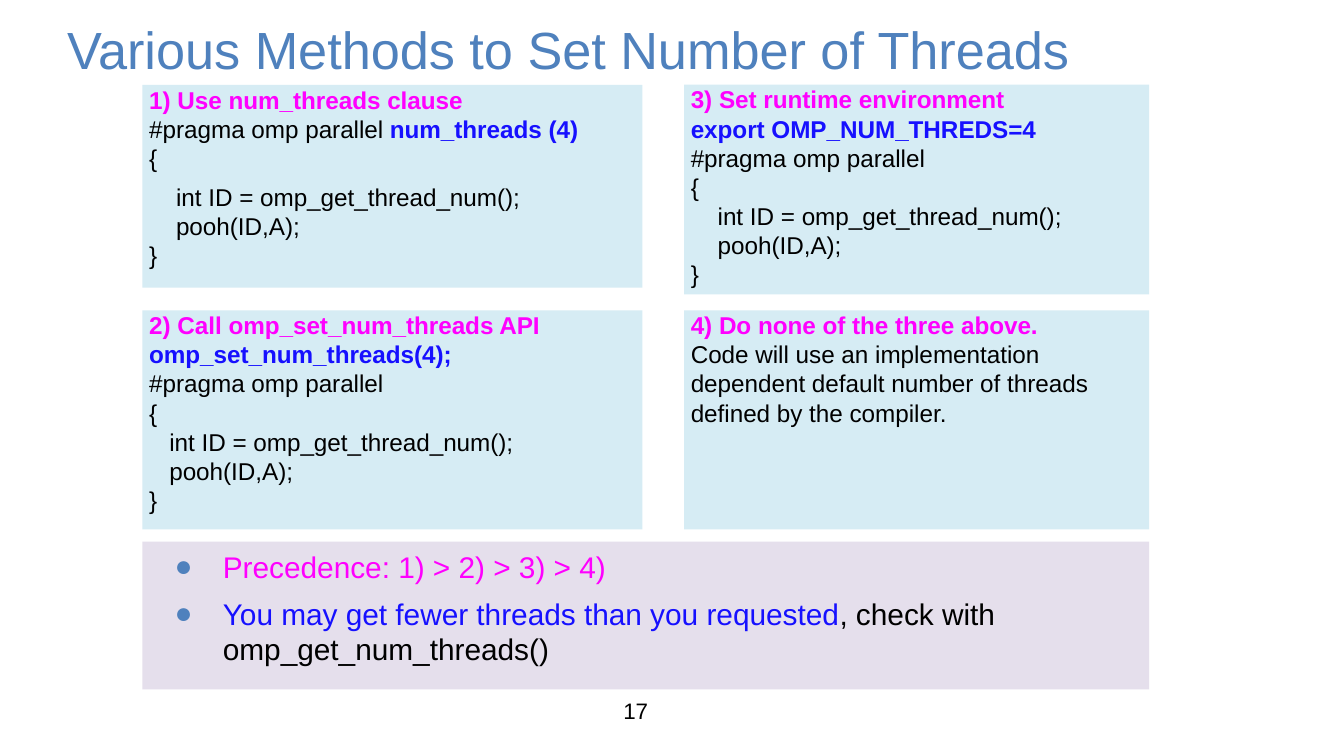
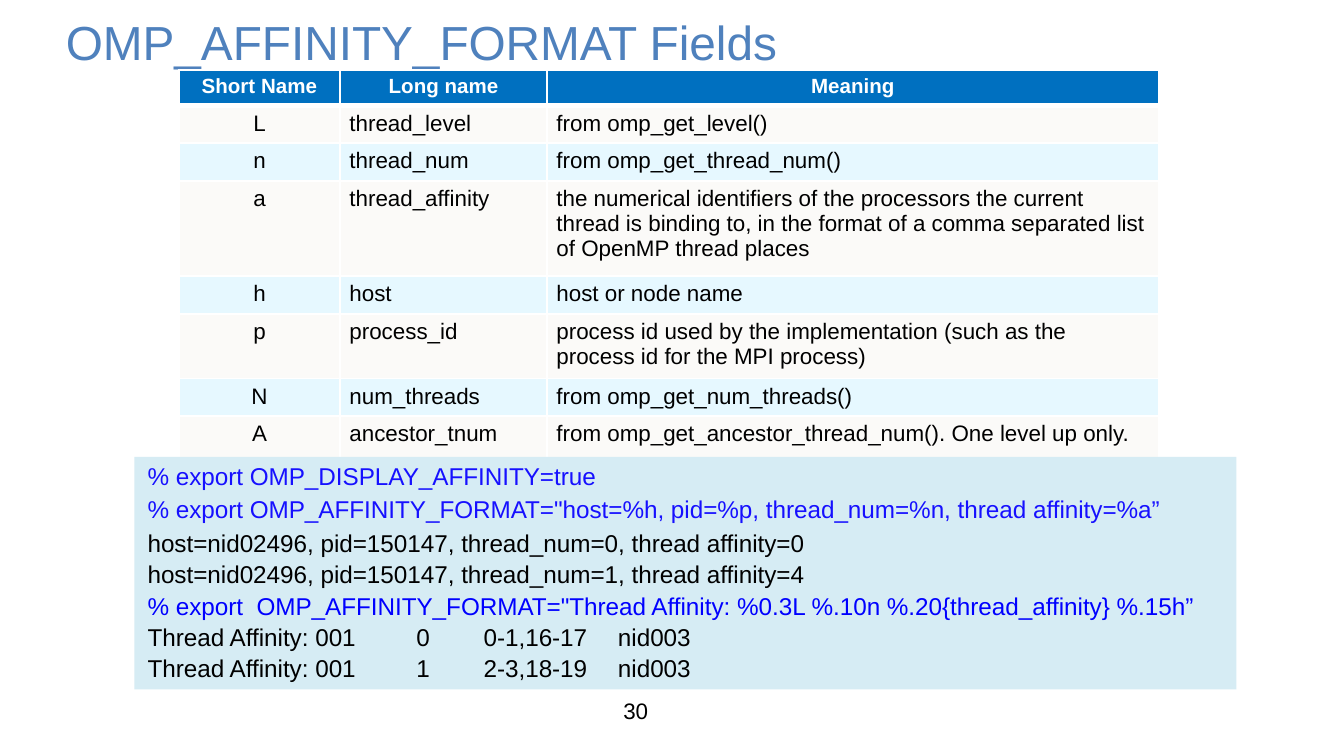
"""Build two OpenMP slides: setting thread counts and affinity format fields."""
from dataclasses import dataclass

from lxml.etree import SubElement
from pptx import Presentation
from pptx.dml.color import RGBColor
from pptx.enum.shapes import MSO_SHAPE
from pptx.enum.text import MSO_ANCHOR, PP_ALIGN
from pptx.oxml.ns import qn
from pptx.util import Pt


@dataclass(frozen=True)
class Theme:
    font: str = "Arial"
    title: str = "4F81BD"
    magenta: str = "FF00FF"
    blue: str = "1610FF"
    pure_blue: str = "0000FF"
    black: str = "000000"
    white: str = "FFFFFF"
    panel: str = "D6ECF4"
    note: str = "E5DFEC"
    header: str = "0070C0"
    bands: tuple = ("FBFAF8", "E6F8FF")
    title_size: float = 28
    small_title_size: float = 25.6
    note_size: float = 16
    code_size: float = 13
    cell_size: float = 12
    header_size: float = 11


T = Theme()
LEFT, RIGHT = (76.3, 267.8), (366.5, 249.1)
TOP, LOWER = 45.4, 166.3
CODE_INSETS = (3.6, 0, 0, 0)
WIDE_INSETS = (7.2, 3.6, 7.2, 3.6)
HEADING = {"color": T.magenta, "bold": True}
KEY = {"color": T.blue, "bold": True}
COMMAND = {"color": T.blue}
PLAIN = {}


def line(text, style=PLAIN, **fmt):
    return [(text, style)], fmt


def parallel_body(indent, **first):
    return [
        line("{"),
        line("int ID = omp_get_thread_num();", indent=indent, **first),
        line("pooh(ID,A);", indent=indent),
        line("}"),
    ]


METHODS = [
    (LEFT, TOP, 108.7, [
        line("1) Use num_threads clause", HEADING),
        ([("#pragma omp parallel ", PLAIN), ("num_threads (4)", KEY)], {}),
        *parallel_body(14.4, space_before=5.2),
    ]),
    (LEFT, LOWER, 117.4, [
        line("2) Call omp_set_num_threads API", HEADING),
        line("omp_set_num_threads(4);", KEY),
        line("#pragma omp parallel"),
        *parallel_body(10.8),
    ]),
    (RIGHT, LOWER, 117.4, [
        line("4) Do none of the three above.", HEADING),
        line("Code will use an implementation dependent default number of "
             "threads defined by the compiler."),
    ]),
    (RIGHT, TOP, 112.3, [
        line("3) Set runtime environment", HEADING),
        line("export OMP_NUM_THREDS=4", KEY),
        line("#pragma omp parallel"),
        *parallel_body(14.4),
    ]),
]

BULLET = {"space_before": 6, "indent": 36, "hanging": 25.9, "bullet": "●"}
NOTES = [
    line("Precedence: 1) > 2) > 3) > 4)", {"color": T.magenta}, **BULLET),
    ([("You may get fewer threads than you requested", COMMAND),
      (", check with omp_get_num_threads()", PLAIN)], BULLET),
]

TIGHT = {"line_spacing": 0.95}
LOOSE = {**TIGHT, "space_before": 3}
OUTPUT = {**TIGHT, "space_before": 2}
COLUMNS = {**OUTPUT, "tabs": (144, 190.8, 279)}
SESSION = [
    line("% export OMP_DISPLAY_AFFINITY=true", COMMAND, **TIGHT),
    line('% export OMP_AFFINITY_FORMAT="host=%h, pid=%p, thread_num=%n, '
         'thread affinity=%a”', COMMAND, **LOOSE),
    line("host=nid02496, pid=150147, thread_num=0, thread affinity=0", **LOOSE),
    line("host=nid02496, pid=150147, thread_num=1, thread affinity=4", **OUTPUT),
    line('% export  OMP_AFFINITY_FORMAT="Thread Affinity: %0.3L %.10n '
         '%.20{thread_affinity} %.15h”', {"color": T.pure_blue}, **OUTPUT),
    line("Thread Affinity: 001\t0\t0-1,16-17\tnid003", **COLUMNS),
    line("Thread Affinity: 001\t1\t2-3,18-19\tnid003", **COLUMNS),
]

FIELD_WIDTHS = (86.4, 110.9, 327.6)
FIELDS = [
    (18, "Short Name", "Long name", "Meaning"),
    (19.4, "L", "thread_level", "from omp_get_level()"),
    (19.4, "n", "thread_num", "from omp_get_thread_num()"),
    (51.1, "a", "thread_affinity",
     "the numerical identifiers of the processors the current thread is binding "
     "to, in the format of a comma separated list of OpenMP thread places"),
    (19.4, "h", "host", "host or node name"),
    (34.6, "p", "process_id",
     "process id used by the implementation (such as the process id for the "
     "MPI process)"),
    (19.4, "N", "num_threads", "from omp_get_num_threads()"),
    (23, "A", "ancestor_tnum",
     "from omp_get_ancestor_thread_num(). One level up only."),
]


def apply(obj, values):
    for name, value in values.items():
        setattr(obj, name, value)


def points(values):
    return [Pt(v) for v in values]


def set_margins(obj, insets):
    sides = ("margin_left", "margin_top", "margin_right", "margin_bottom")
    apply(obj, dict(zip(sides, points(insets))))


def add_run(p, text, size, color=T.black, bold=False):
    r = p.add_run()
    r.text = text
    apply(r.font, {"name": T.font, "size": Pt(size), "bold": bold})
    r.font.color.rgb = RGBColor.from_string(color)


def format_paragraph(p, align=None, line_spacing=None, space_before=0,
                     indent=0, hanging=0, bullet=None, tabs=()):
    apply(p, {"alignment": align, "line_spacing": line_spacing,
              "space_before": Pt(space_before)})
    pPr = p._p.get_or_add_pPr()
    pPr.set("marL", str(Pt(indent)))
    pPr.set("indent", str(-Pt(hanging)))
    if bullet:
        color = SubElement(pPr, qn("a:buClr"))
        SubElement(color, qn("a:srgbClr"), val=T.title)
        SubElement(pPr, qn("a:buFont"), typeface=T.font)
        SubElement(pPr, qn("a:buChar"), char=bullet)
    if tabs:
        stops = SubElement(pPr, qn("a:tabLst"))
        for stop in tabs:
            SubElement(stops, qn("a:tab"), pos=str(Pt(stop)), algn="l")


def fill_text(tf, paragraphs, size):
    for i, (runs, fmt) in enumerate(paragraphs):
        p = tf.add_paragraph() if i else tf.paragraphs[0]
        format_paragraph(p, **{"align": PP_ALIGN.LEFT, **fmt})
        for text, style in runs:
            add_run(p, text, size, **style)


def add_label(s, box, text, size, color, align=PP_ALIGN.LEFT):
    tf = s.shapes.add_textbox(*points(box)).text_frame
    apply(tf, {"word_wrap": True, "vertical_anchor": MSO_ANCHOR.MIDDLE})
    set_margins(tf, (0, 0, 0, 0))
    fill_text(tf, [line(text, {"color": color}, align=align)], size)


def add_panel(s, box, paragraphs, fill, size, insets):
    sp = s.shapes.add_shape(MSO_SHAPE.RECTANGLE, *points(box))
    sp.shadow.inherit = False
    sp.fill.solid()
    sp.fill.fore_color.rgb = RGBColor.from_string(fill)
    sp.line.fill.background()
    tf = sp.text_frame
    apply(tf, {"word_wrap": True, "vertical_anchor": MSO_ANCHOR.TOP})
    set_margins(tf, insets)
    fill_text(tf, paragraphs, size)


def style_cell(cell, fill, bottom):
    set_margins(cell, (5, 2.9, 5, 2.9))
    tcPr = cell._tc.get_or_add_tcPr()
    for side, width in (("L", 1), ("R", 1), ("T", 1), ("B", bottom)):
        ln = SubElement(tcPr, qn(f"a:ln{side}"), w=str(Pt(width)))
        solid = SubElement(ln, qn("a:solidFill"))
        SubElement(solid, qn("a:srgbClr"), val=T.white)
    cell.fill.solid()
    cell.fill.fore_color.rgb = RGBColor.from_string(fill)


def add_field_table(s, left, top):
    width, height = sum(FIELD_WIDTHS), sum(row[0] for row in FIELDS)
    table = s.shapes.add_table(len(FIELDS), len(FIELD_WIDTHS),
                               *points((left, top, width, height))).table
    for column, w in zip(table.columns, FIELD_WIDTHS):
        column.width = Pt(w)
    for i, (row_height, *texts) in enumerate(FIELDS):
        table.rows[i].height = Pt(row_height)
        head = i == 0
        fill = T.header if head else T.bands[(i - 1) % 2]
        style = {"color": T.white, "bold": True} if head else PLAIN
        size = T.header_size if head else T.cell_size
        for j, text in enumerate(texts):
            cell = table.cell(i, j)
            style_cell(cell, fill, 3 if head else 1)
            align = PP_ALIGN.CENTER if head or j == 0 else PP_ALIGN.LEFT
            fill_text(cell.text_frame, [line(text, style, align=align)], size)


def add_slide(prs, title, box, size, number):
    s = prs.slides.add_slide(prs.slide_layouts[6])
    add_label(s, (257.8, 373.7, 165.6, 14.4), number, T.cell_size, T.black,
              PP_ALIGN.CENTER)
    add_label(s, box, title, size, T.title)
    return s


def add_methods_slide(prs):
    s = add_slide(prs, "Various Methods to Set Number of Threads",
                  (36, 7.2, 573.8, 38.2), T.title_size, "17")
    add_panel(s, (LEFT[0], 290.2, 539.3, 79.2), NOTES, T.note, T.note_size,
              WIDE_INSETS)
    for (left, width), top, height, paragraphs in METHODS:
        add_panel(s, (left, top, width, height), paragraphs, T.panel,
                  T.code_size, CODE_INSETS)


def add_fields_slide(prs):
    s = add_slide(prs, "OMP_AFFINITY_FORMAT Fields", (35.3, 2.5, 565.9, 39.6),
                  T.small_title_size, "30")
    add_field_table(s, 95.8, 37.4)
    add_panel(s, (72, 244.8, 590.4, 124.6), SESSION, T.panel, T.code_size,
              WIDE_INSETS)


def main():
    prs = Presentation()
    apply(prs, {"slide_width": Pt(720), "slide_height": Pt(405)})
    add_methods_slide(prs)
    add_fields_slide(prs)
    prs.save("out.pptx")


if __name__ == "__main__":
    main()
